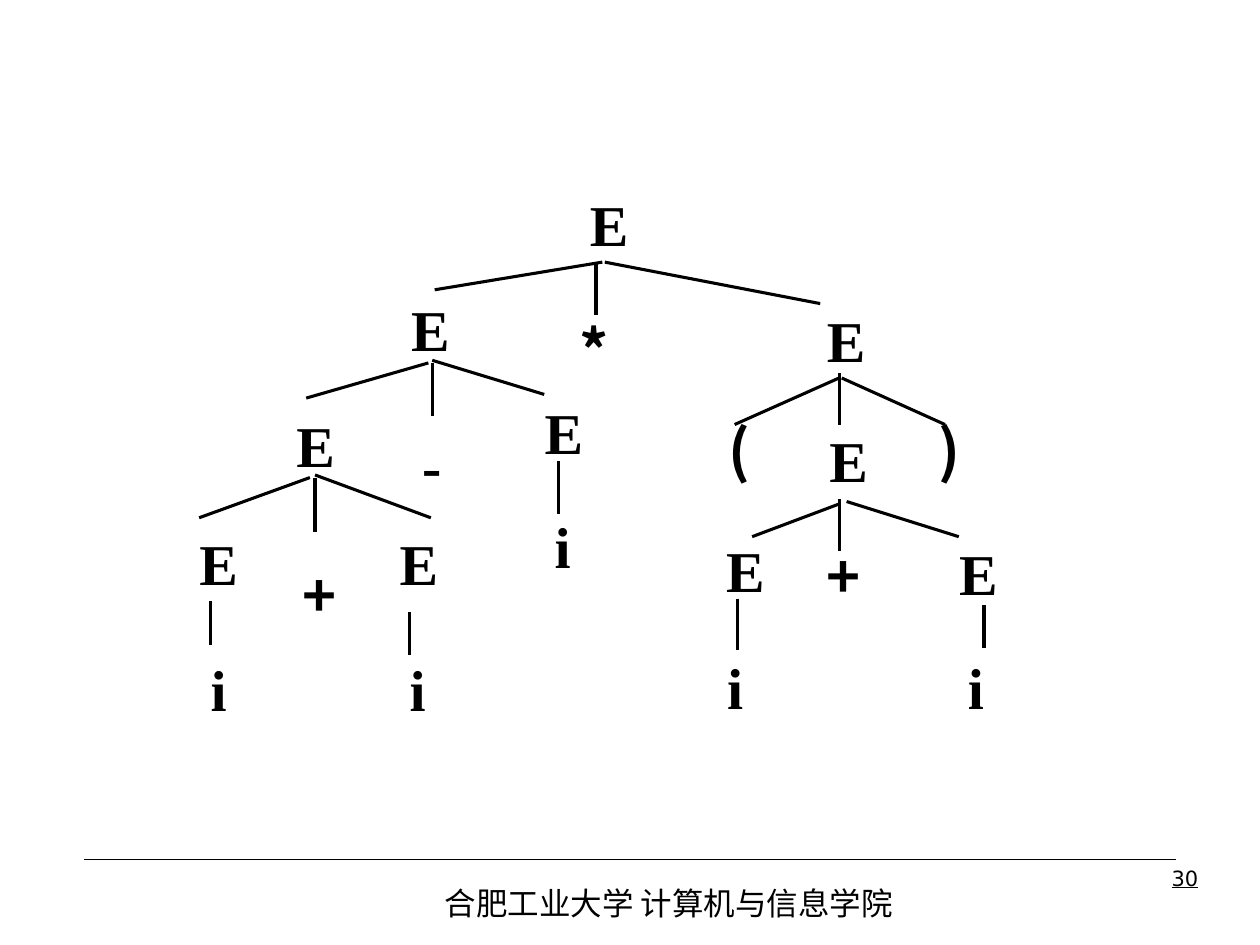
from lxml.etree import SubElement
from pptx import Presentation
from pptx.dml.color import RGBColor
from pptx.enum.shapes import MSO_CONNECTOR
from pptx.enum.text import MSO_AUTO_SIZE, PP_ALIGN
from pptx.oxml.ns import qn
from pptx.util import Pt

BLACK = RGBColor(0, 0, 0)
LEFT, MID, RIGHT = PP_ALIGN.LEFT, PP_ALIGN.CENTER, PP_ALIGN.RIGHT
STRAIGHT = MSO_CONNECTOR.STRAIGHT
FIT, FIXED = MSO_AUTO_SIZE.SHAPE_TO_FIT_TEXT, MSO_AUTO_SIZE.NONE
SERIF, SANS, PLAIN = "Times New Roman", "Noto Sans CJK SC", "DejaVu Sans"

SIGNS = {
    "E": (SERIF, 22.3), "i": (SERIF, 9.4), "-": (SERIF, 10.8),
    "+": (SANS, 18.7), "*": (SANS, 18), "(": (SANS, 11.5), ")": (SANS, 11.5),
}

NODES = {
    "E": [(348, 108), (245.9, 167.8), (483.5, 174.2), (180.4, 234),
          (322.2, 226.8), (484.9, 242.6), (124.9, 301.7), (239.4, 301.7),
          (425.9, 305.3), (559.1, 307.4)],
    "i": [(124.9, 373.7), (238.7, 373.7), (321.5, 291.6), (420.1, 372.2),
          (557.6, 372.2)],
    "*": [(339.5, 180)],
    "-": [(246.6, 245.5)],
    "+": [(182.2, 319.7), (481.7, 308.9)],
    "(": [(421.9, 236.9)],
    ")": [(542.2, 236.9)],
}

ARMS = [
    (344.2, 149.8, 248.4, 165.6), (345.6, 149.8, 468.7, 173.5),
    (244.8, 207.4, 175, 227.5), (247, 205.9, 311, 225.4),
    (177.1, 272.9, 113.8, 295.9), (180, 271.4, 246.2, 295.9),
    (479.5, 216, 419.8, 242.6), (481, 216, 540, 242.6),
    (479.5, 288, 429.8, 306.7), (483.8, 286.6, 547.9, 306.7),
]

STEMS = [
    (340.6, 149.8, 180), (247, 207.4, 237.6), (180, 272.9, 303.8),
    (479.5, 213.1, 242.6), (479.5, 285.1, 314.6), (319, 263.5, 293.8),
    (120.2, 343.4, 368.6), (234, 349.9, 374.4), (421.2, 342, 371.5),
    (562.3, 345.6, 370.1),
]


class Board:
    def __init__(self, slide, ink=BLACK, size=33, high=39.6, weight=1.75):
        self.slide = slide
        self.ink = ink
        self.size = size
        self.high = high
        self.weight = weight

    def line(self, x1, y1, x2, y2, weight=None):
        edge = self.slide.shapes.add_connector(
            STRAIGHT, Pt(x1), Pt(y1), Pt(x2), Pt(y2))
        edge.line.color.rgb = self.ink
        edge.line.width = Pt(weight or self.weight)
        SubElement(edge.element.spPr, qn("a:effectLst"))

    def text(self, words, area, face, size, align=LEFT, pad=(7.2, 3.6),
             wrap=True, fit=FIXED, bold=False, under=False):
        frame = self.slide.shapes.add_textbox(*map(Pt, area)).text_frame
        frame.margin_left = frame.margin_right = Pt(pad[0])
        frame.margin_top = frame.margin_bottom = Pt(pad[1])
        frame.word_wrap = wrap
        frame.auto_size = fit
        para = frame.paragraphs[0]
        para.alignment = align
        run = para.add_run()
        run.text = words
        font = run.font
        font.name = face
        font.size = Pt(size)
        font.bold = bold
        font.underline = under
        font.color.rgb = self.ink
        east = SubElement(run.font._element, qn("a:ea"))
        east.set("typeface", face)

    def node(self, sign, mid, top):
        face, wide = SIGNS[sign]
        self.text(sign, (mid - wide / 2, top, wide, self.high), face,
                  self.size, MID, (0, 0), False, FIT, True)


def main():
    deck = Presentation()
    deck.slide_width, deck.slide_height = Pt(720), Pt(540)
    board = Board(deck.slides.add_slide(deck.slide_layouts[6]))

    board.line(48, 491, 672, 491, 0.25)
    board.text("合肥工业大学 计算机与信息学院", (247, 501.8, 345.6, 28.8),
               SANS, 18, fit=FIT)
    for arm in ARMS:
        board.line(*arm)
    for x, top, end in STEMS:
        board.line(x, top, x, end)
    for sign, spots in NODES.items():
        for mid, top in spots:
            board.node(sign, mid, top)
    board.text("30", (535.7, 491, 156.2, 37.4), PLAIN, 12, RIGHT, under=True)

    deck.save("out.pptx")


if __name__ == "__main__":
    main()
